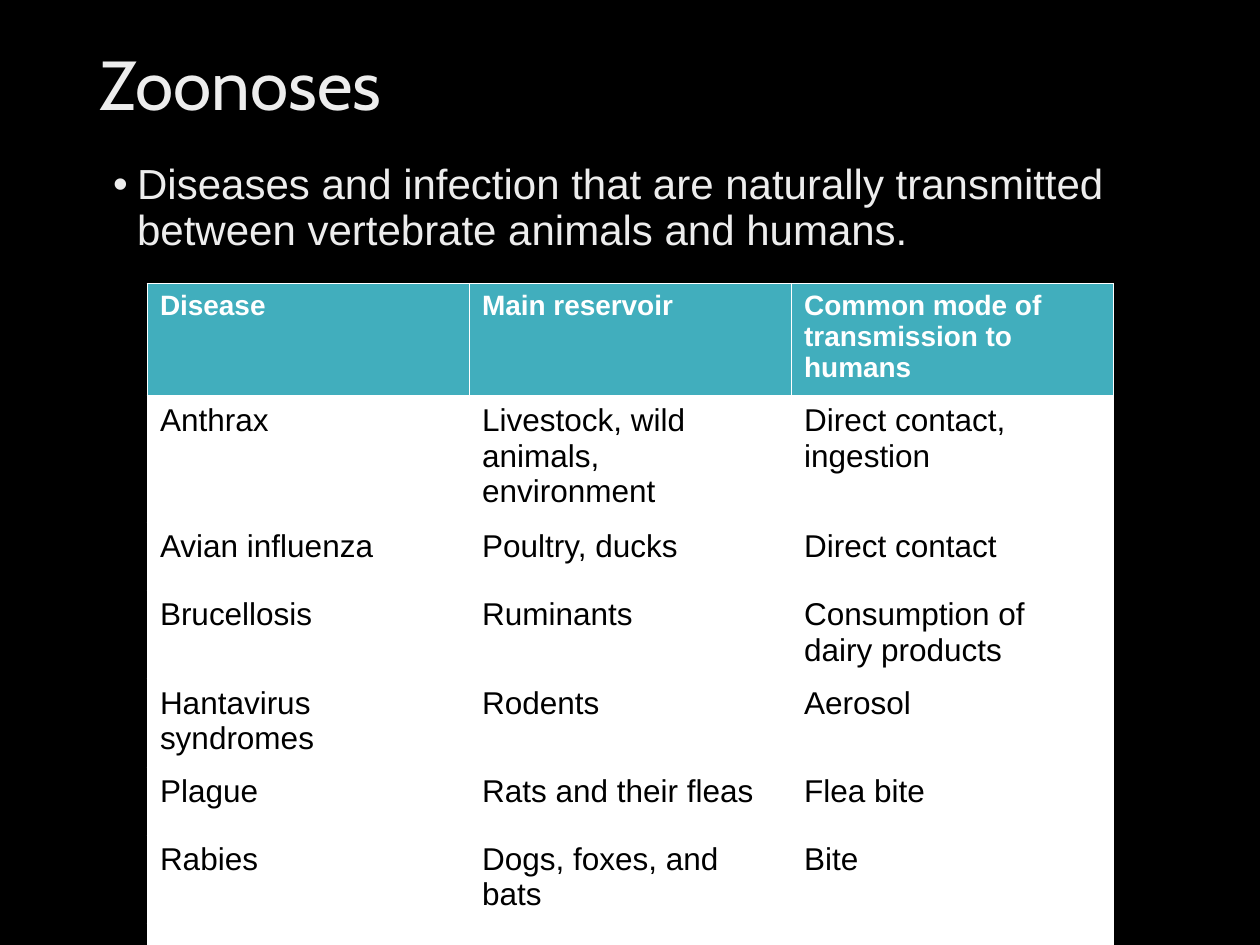
import pptx
import pptx.util
import pptx.dml.color
import pptx.enum.text
import pptx.oxml
import pptx.oxml.ns
import lxml.etree

Inches = pptx.util.Inches
Pt = pptx.util.Pt
RGBColor = pptx.dml.color.RGBColor

BLACK = RGBColor(0, 0, 0)
WHITE = RGBColor(255, 255, 255)
PALE = RGBColor(0xED, 0xED, 0xED)
TEAL = RGBColor(0x41, 0xAE, 0xBD)

HEADS = ["Disease", "Main reservoir", "Common mode of transmission to humans"]
ROWS = [
    ["Anthrax", "Livestock, wild animals, environment", "Direct contact, ingestion"],
    ["Avian influenza", "Poultry, ducks", "Direct contact"],
    ["Brucellosis", "Ruminants", "Consumption of dairy products"],
    ["Hantavirus syndromes", "Rodents", "Aerosol"],
    ["Plague", "Rats and their fleas", "Flea bite"],
    ["Rabies", "Dogs, foxes, and bats", "Bite"],
    ["", "", ""],
]


def add_sub(node, tag, **attrs):
    return lxml.etree.SubElement(node, pptx.oxml.ns.qn(tag), attrs)


def style(para, size, color, face="Arial", bold=False):
    for run in para.runs:
        run.font.size = Pt(size)
        run.font.name = face
        run.font.bold = bold
        run.font.color.rgb = color


def add_text(slide, text, left, top, width, height, size, face):
    box = slide.shapes.add_textbox(Inches(left), Inches(top), Inches(width), Inches(height))
    frame = box.text_frame
    frame.word_wrap = True
    frame.text = text
    para = frame.paragraphs[0]
    para.line_spacing = 0.9
    style(para, size, PALE, face)
    return frame


def add_bullet(para):
    para.space_before = Pt(7.5)
    props = para._p.get_or_add_pPr()
    props.set("marL", str(Inches(0.19)))
    props.set("indent", str(-Inches(0.19)))
    add_sub(props, "a:buFont", typeface="Arial")
    add_sub(props, "a:buChar", char="•")


def add_edges(cell, low):
    props = cell._tc.get_or_add_tcPr()
    for side in "LRTB":
        width = low if side == "B" else 1
        edge = add_sub(props, "a:ln" + side, w=str(Pt(width)))
        fill = add_sub(edge, "a:solidFill")
        add_sub(fill, "a:srgbClr", val=str(WHITE))


def fill_cell(cell, text, head):
    add_edges(cell, 3 if head else 1)
    cell.fill.solid()
    cell.fill.fore_color.rgb = TEAL if head else WHITE
    cell.text_frame.text = text
    style(cell.text_frame.paragraphs[0], 16 if head else 18, WHITE if head else BLACK, bold=head)


def add_grid(slide):
    data = [HEADS] + ROWS
    high = Inches(0.54)
    shape = slide.shapes.add_table(
        len(data), len(HEADS), Inches(1.17), Inches(2.25), Inches(7.67), high * len(data))
    table = shape.table
    for row, texts in enumerate(data):
        table.rows[row].height = high
        for col, text in enumerate(texts):
            fill_cell(table.cell(row, col), text, row == 0)


def main():
    deck = pptx.Presentation()
    deck.slide_width = Inches(10)
    deck.slide_height = Inches(7.5)
    slide = deck.slides.add_slide(deck.slide_layouts[6])
    slide.background.fill.solid()
    slide.background.fill.fore_color.rgb = BLACK
    title = add_text(slide, "Zoonoses", 0.69, 0.4, 8.62, 0.6, 39.6, "Cabin")
    title.vertical_anchor = pptx.enum.text.MSO_ANCHOR.MIDDLE
    body = add_text(
        slide,
        "Diseases and infection that are naturally transmitted between vertebrate animals and humans.",
        0.8, 1.25, 8.39, 0.83, 24, "Arial")
    add_bullet(body.paragraphs[0])
    add_grid(slide)
    deck.save("out.pptx")


if __name__ == "__main__":
    main()
